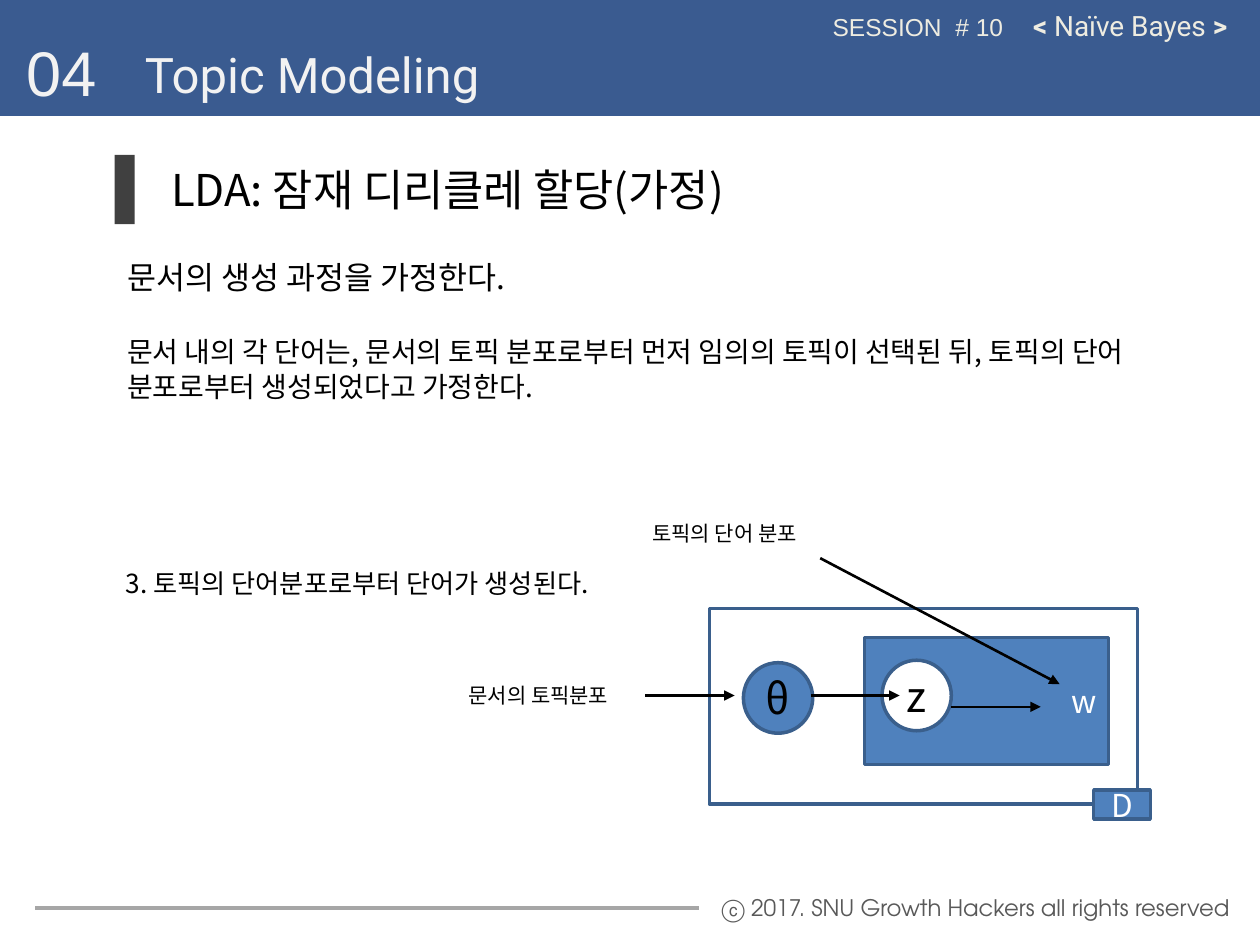
from dataclasses import dataclass
from typing import Optional

from lxml.etree import SubElement
from pptx import Presentation
from pptx.dml.color import RGBColor
from pptx.enum.shapes import MSO_CONNECTOR, MSO_SHAPE
from pptx.enum.text import MSO_ANCHOR, MSO_AUTO_SIZE as Auto, PP_ALIGN
from pptx.oxml.ns import qn
from pptx.util import Pt

SCALE = 9144
HUES = {
    "navy": "3A5B90", "edge": "3A5F8C", "blue": "4F81BD", "white": "FFFFFF",
    "black": "000000", "dark": "404040", "rule": "A6A6A6", "note": "595959",
    "pale": "F2F2F2", "cream": "EEECE1",
}
KR, SANS, HEAD, FOOT = "Noto Sans CJK KR", "Arial", "Roboto", "TeX Gyre Adventor"
LEFT, MID, RIGHT = PP_ALIGN.LEFT, PP_ALIGN.CENTER, PP_ALIGN.RIGHT
RECT, OVAL = MSO_SHAPE.RECTANGLE, MSO_SHAPE.OVAL


@dataclass
class Run:
    text: str
    size: float
    hue: str = "black"
    font: str = KR
    bold: bool = False


@dataclass
class Area:
    x: int
    y: int
    w: int
    h: int


@dataclass
class Node:
    area: Area
    fill: Optional[str] = None
    edge: Optional[str] = "edge"
    run: Optional[Run] = None
    align: PP_ALIGN = MID
    kind: MSO_SHAPE = RECT


@dataclass
class Label:
    area: Area
    runs: list[Run]
    wrap: bool = True
    middle: bool = True


@dataclass
class Line:
    x1: int
    y1: int
    x2: int
    y2: int
    hue: str = "black"
    width: float = 1.5
    arrow: bool = True


def px(num: int) -> int:
    return num * SCALE


def color(name: str) -> RGBColor:
    return RGBColor.from_string(HUES[name])


def place(shape, area: Area) -> None:
    shape.left, shape.top = px(area.x), px(area.y)
    shape.width, shape.height = px(area.w), px(area.h)


def write(para, runs: list[Run], align: PP_ALIGN = LEFT) -> None:
    para.alignment = align
    for item in runs:
        run = para.add_run()
        run.text = item.text
        font = run.font
        font.size, font.name, font.bold = Pt(item.size), item.font, item.bold
        font.color.rgb = color(item.hue)
        SubElement(font._element, qn("a:ea")).set("typeface", item.font)


def setup(frame, wrap: bool, middle: bool) -> None:
    frame.word_wrap = wrap
    frame.auto_size = Auto.NONE if middle else Auto.SHAPE_TO_FIT_TEXT
    frame.vertical_anchor = MSO_ANCHOR.MIDDLE if middle else MSO_ANCHOR.TOP


def draw_node(slide, node: Node) -> None:
    area = node.area
    shape = slide.shapes.add_shape(node.kind, px(area.x), px(area.y), px(area.w), px(area.h))
    shape.shadow.inherit = False
    if node.fill:
        shape.fill.solid()
        shape.fill.fore_color.rgb = color(node.fill)
    else:
        shape.fill.background()
    if node.edge:
        shape.line.color.rgb = color(node.edge)
        shape.line.width = Pt(2)
    else:
        shape.line.fill.background()
    if node.run:
        setup(shape.text_frame, True, True)
        write(shape.text_frame.paragraphs[0], [node.run], node.align)


def draw_label(slide, label: Label):
    area = label.area
    box = slide.shapes.add_textbox(px(area.x), px(area.y), px(area.w), px(area.h))
    setup(box.text_frame, label.wrap, label.middle)
    write(box.text_frame.paragraphs[0], label.runs)
    return box


def draw_line(slide, item: Line):
    line = slide.shapes.add_connector(
        MSO_CONNECTOR.STRAIGHT, px(item.x1), px(item.y1), px(item.x2), px(item.y2))
    line.line.color.rgb = color(item.hue)
    line.line.width = Pt(item.width)
    if item.arrow:
        SubElement(line.line._get_or_add_ln(), qn("a:tailEnd")).set("type", "triangle")
    SubElement(line._element.spPr, qn("a:effectLst"))
    return line


def fill_title(slide) -> None:
    title = slide.shapes.title
    place(title, Area(105, 30, 323, 57))
    setup(title.text_frame, False, False)
    write(title.text_frame.paragraphs[0], [Run("Topic Modeling", 28, "pale", HEAD)])
    slide.shapes._spTree.append(title._element)


def fill_body(slide) -> None:
    body = slide.placeholders[1]
    place(body, Area(91, 201, 870, 122))
    frame = body.text_frame
    setup(frame, True, True)
    rows = [
        (Run("문서의 생성 과정을 가정한다.", 18), 0, 22),
        (Run("문서 내의 각 단어는, 문서의 토픽 분포로부터 먼저 임의의 토픽이 선택된 뒤, "
             "토픽의 단어 분포로부터 생성되었다고 가정한다.", 16), 22, 19.5),
    ]
    for num, (run, gap, pitch) in enumerate(rows):
        para = frame.add_paragraph() if num else frame.paragraphs[0]
        props = para._p.get_or_add_pPr()
        props.set("marL", "0")
        props.set("indent", "0")
        SubElement(props, qn("a:buNone"))
        para.space_before, para.line_spacing = Pt(gap), Pt(pitch)
        write(para, [run])
    slide.shapes._spTree.append(body._element)


NODES = [
    Node(Area(0, -3, 1000, 94), "navy", "navy"),
    Node(Area(91, 123, 16, 55), "dark", None),
    Node(Area(563, 483, 340, 155)),
    Node(Area(686, 506, 194, 101), "blue", run=Run("w", 18, "white"), align=RIGHT),
    Node(Area(868, 627, 45, 23), "blue", run=Run("D", 18, "white")),
    Node(Area(590, 526, 55, 56), "blue", run=Run("θ", 24), kind=OVAL),
    Node(Area(700, 524, 55, 56), "white", run=Run("z", 24), kind=OVAL),
]
LABELS = [
    Label(Area(563, 704, 433, 32),
          [Run("ⓒ 2017. SNU Growth Hackers all rights reserved", 13, "note", FOOT)], True, False),
    Label(Area(11, 22, 92, 71), [Run("04", 36, "pale", SANS)], False, False),
    Label(Area(810, 2, 199, 37),
          [Run("< ", 16, "cream", HEAD, True), Run("Naïve Bayes ", 16, "cream", HEAD),
           Run(">", 16, "cream", HEAD, True)], False, False),
    Label(Area(651, 5, 179, 34), [Run("SESSION  # 10", 14, "cream", SANS)], False, False),
    Label(Area(508, 399, 150, 48), [Run("토픽의 단어 분포", 12)]),
    Label(Area(90, 420, 473, 86), [Run("3. 토픽의 단어분포로부터 단어가 생성된다.", 15)]),
    Label(Area(126, 118, 575, 64), [Run("LDA: 잠재 디리클레 할당(가정)", 25)]),
]
SOURCE = Label(Area(362, 528, 150, 48), [Run("문서의 토픽분포", 12)])
ENTRY = Line(512, 552, 583, 552)
LINES = [
    Line(28, 721, 555, 721, "rule", 2.25, False),
    Line(651, 443, 841, 543),
    Line(644, 552, 714, 552),
    Line(755, 561, 826, 561),
]


def main() -> None:
    deck = Presentation()
    deck.slide_width, deck.slide_height = px(1000), px(750)
    slide = deck.slides.add_slide(deck.slide_layouts[1])
    for node in NODES:
        draw_node(slide, node)
    for label in LABELS:
        draw_label(slide, label)
    for line in LINES:
        draw_line(slide, line)
    source = draw_label(slide, SOURCE)
    draw_line(slide, ENTRY).begin_connect(source, 3)
    fill_body(slide)
    fill_title(slide)
    deck.save("out.pptx")


if __name__ == "__main__":
    main()
